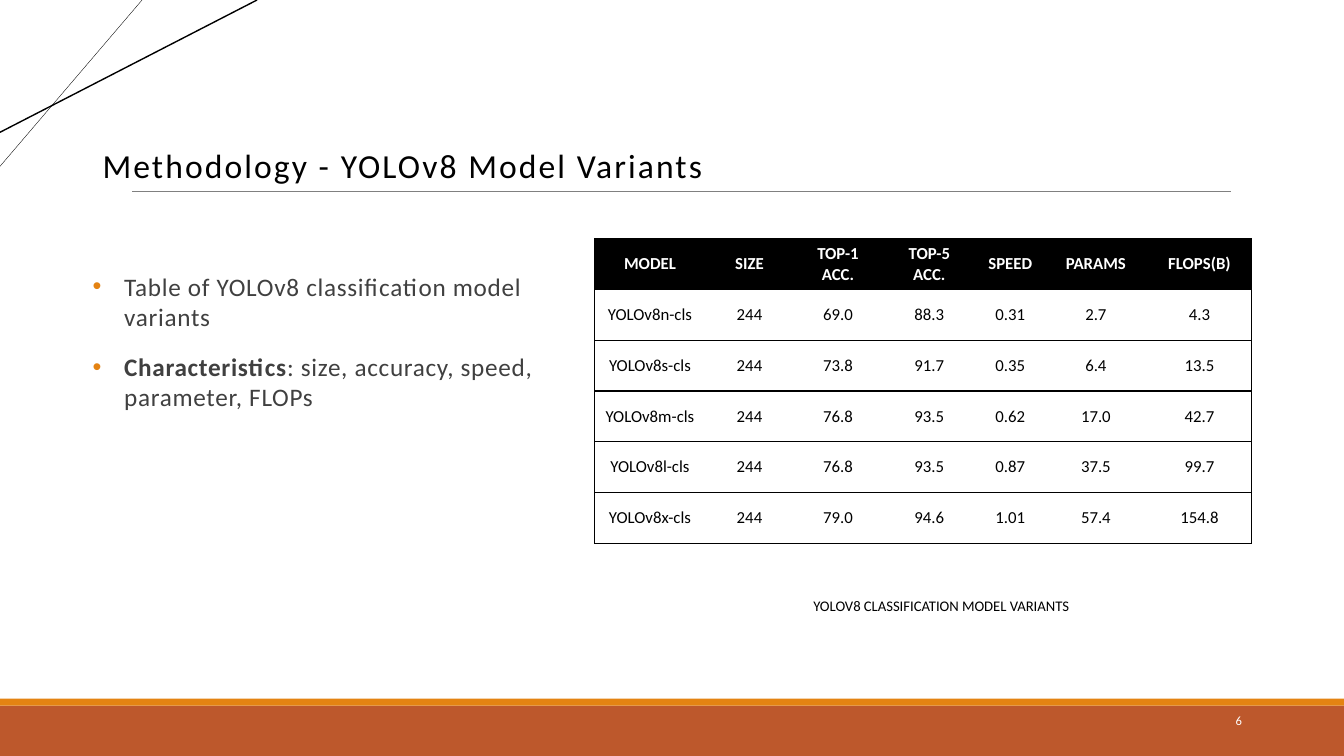
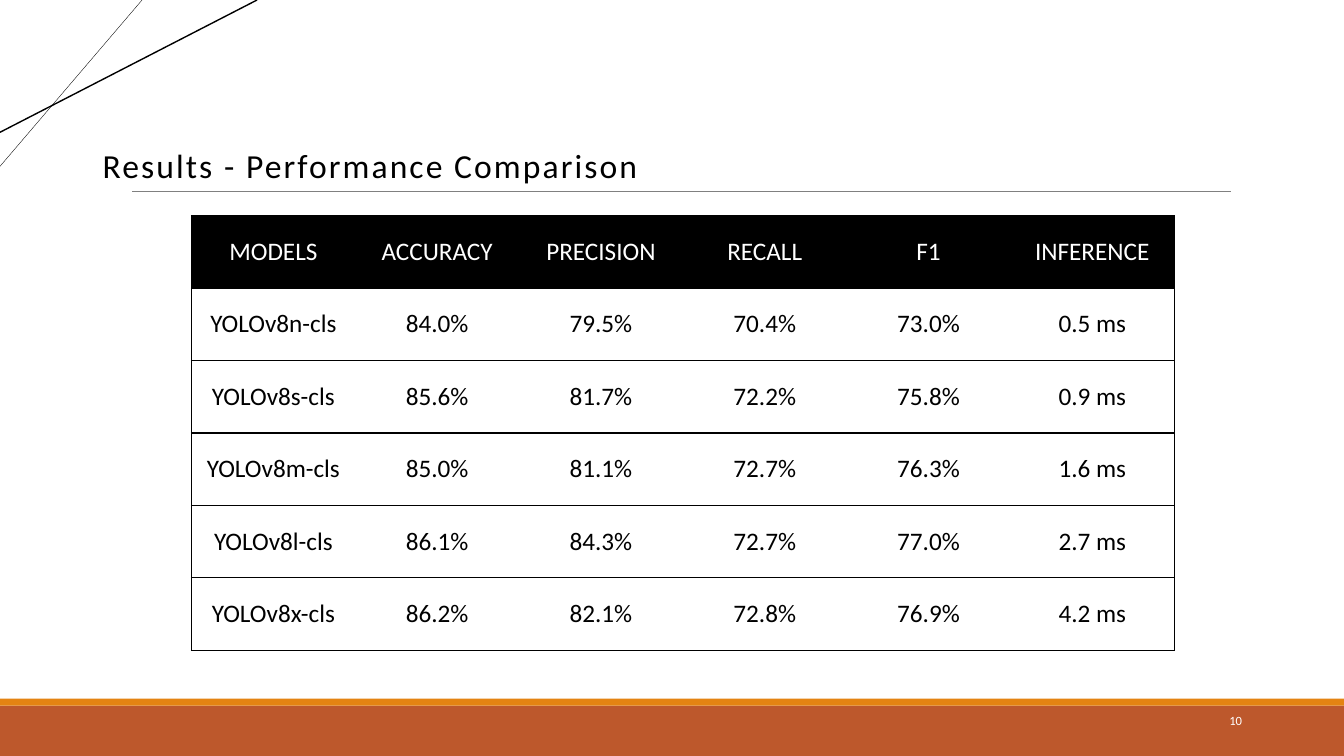
from lxml.etree import SubElement
from pptx import Presentation
from pptx.dml.color import RGBColor
from pptx.enum.shapes import MSO_CONNECTOR, MSO_SHAPE
from pptx.enum.text import MSO_ANCHOR, MSO_AUTO_SIZE, PP_ALIGN
from pptx.oxml.ns import qn
from pptx.util import Pt

BLACK = RGBColor(0x00, 0x00, 0x00)
WHITE = RGBColor(0xFF, 0xFF, 0xFF)
GRAY = RGBColor(0x80, 0x80, 0x80)
BODY = RGBColor(0x40, 0x40, 0x40)
RUST = RGBColor(0xBD, 0x58, 0x2C)
AMBER = RGBColor(0xE4, 0x83, 0x12)
FONT = "Calibri"
W, H = 960, 540

BANDS = [(504, 36, RUST), (499, 5, AMBER)]  # top, height, colour
LINES = [  # x1, y1, x2, y2, width, colour
    (94.5, 137, 879, 137, 0.5, GRAY),
    (101.5, 0, 0, 118.8, 0.25, BLACK),
    (183.6, 0, 0, 94.5, 1, BLACK),
]
MODELS = [f"YOLOv8{size}-cls" for size in "nsmlx"]

SLIDES = [
    {
        "title": "Methodology - YOLOv8 Model Variants",
        "number": "6",
        "left": 424.8, "top": 170.6, "row_height": 36.25,
        "widths": [79, 63.2, 63.2, 67.4, 48.3, 74, 74],
        "size": 12, "bold_header": True,
        "header": ["MODEL", "SIZE", "TOP-1 ACC.", "TOP-5 ACC.", "SPEED",
                   "PARAMS", "FLOPS(B)"],
        "values": [
            ["244", "69.0", "88.3", "0.31", "2.7", "4.3"],
            ["244", "73.8", "91.7", "0.35", "6.4", "13.5"],
            ["244", "76.8", "93.5", "0.62", "17.0", "42.7"],
            ["244", "76.8", "93.5", "0.87", "37.5", "99.7"],
            ["244", "79.0", "94.6", "1.01", "57.4", "154.8"],
        ],
    },
    {
        "title": "Results - Performance Comparison",
        "number": "10",
        "left": 136.8, "top": 154.1, "row_height": 51.75,
        "widths": [117] * 6,
        "size": 18, "bold_header": False,
        "header": ["MODELS", "ACCURACY", "PRECISION", "RECALL", "F1",
                   "INFERENCE"],
        "values": [
            ["84.0%", "79.5%", "70.4%", "73.0%", "0.5 ms"],
            ["85.6%", "81.7%", "72.2%", "75.8%", "0.9 ms"],
            ["85.0%", "81.1%", "72.7%", "76.3%", "1.6 ms"],
            ["86.1%", "84.3%", "72.7%", "77.0%", "2.7 ms"],
            ["86.2%", "82.1%", "72.8%", "76.9%", "4.2 ms"],
        ],
    },
]


def style(p, size, color, align=PP_ALIGN.LEFT, spacing=0):
    """Format a paragraph's runs; spacing is the letter spacing in points."""
    p.alignment = align
    for r in p.runs:
        r.font.name = FONT
        r.font.size = Pt(size)
        r.font.color.rgb = color
        if spacing:
            r.font._element.set("spc", str(int(spacing * 100)))


def add_text(s, box, text, anchor=MSO_ANCHOR.TOP):
    tf = s.shapes.add_textbox(*(Pt(v) for v in box)).text_frame
    tf.word_wrap = True
    tf.vertical_anchor = anchor
    tf.text = text
    return tf


prs = Presentation()
prs.slide_width, prs.slide_height = Pt(W), Pt(H)

for data in SLIDES:
    s = prs.slides.add_slide(prs.slide_layouts[6])

    for top, height, color in BANDS:
        sp = s.shapes.add_shape(MSO_SHAPE.RECTANGLE, 0, Pt(top), Pt(W), Pt(height))
        sp.shadow.inherit = False
        sp.fill.solid()
        sp.fill.fore_color.rgb = color
        sp.line.fill.background()

    for *ends, width, color in LINES:
        line = s.shapes.add_connector(MSO_CONNECTOR.STRAIGHT, *(Pt(v) for v in ends))
        line.line.width = Pt(width)
        line.line.color.rgb = color
        SubElement(line._element.spPr, qn("a:effectLst"))

    tf = add_text(s, (66.2, 75.6, 843, 60.5), data["title"], MSO_ANCHOR.BOTTOM)
    tf.paragraphs[0].line_spacing = 0.85
    style(tf.paragraphs[0], 24, BLACK, spacing=1.5)

    tf = add_text(s, (816.5, 500.4, 77.8, 28.8), data["number"], MSO_ANCHOR.MIDDLE)
    style(tf.paragraphs[0], 9, WHITE, PP_ALIGN.RIGHT)

    rows = [data["header"]]
    rows += [[model, *values] for model, values in zip(MODELS, data["values"])]
    widths = data["widths"]
    table = s.shapes.add_table(
        len(rows), len(widths), Pt(data["left"]), Pt(data["top"]),
        Pt(sum(widths)), Pt(data["row_height"] * len(rows))).table
    for column, width in zip(table.columns, widths):
        column.width = Pt(width)

    for i, row in enumerate(rows):
        table.rows[i].height = Pt(data["row_height"])
        for j, text in enumerate(row):
            cell = table.cell(i, j)
            cell.text = text
            cell.vertical_anchor = MSO_ANCHOR.MIDDLE
            cell.margin_top = cell.margin_bottom = Pt(3)
            p = cell.text_frame.paragraphs[0]
            style(p, data["size"], BLACK if i else WHITE, PP_ALIGN.CENTER)
            p.runs[0].font.bold = i == 0 and data["bold_header"]

            # Horizontal rules everywhere, vertical rules on the outside only
            borders = {"L": j == 0, "R": j == len(row) - 1, "T": True, "B": True}
            tcPr = cell._tc.get_or_add_tcPr()
            for side, shown in borders.items():
                ln = SubElement(tcPr, qn(f"a:ln{side}"), w=str(Pt(1)))
                if shown:
                    fill = SubElement(ln, qn("a:solidFill"))
                    SubElement(fill, qn("a:srgbClr"), val=str(BLACK))
                else:
                    SubElement(ln, qn("a:noFill"))
            cell.fill.solid()
            cell.fill.fore_color.rgb = WHITE if i else BLACK

# Bullets and table caption of the methodology slide
s = prs.slides[0]
tf = add_text(s, (66.2, 193.7, 334, 283),
              "Table of YOLOv8 classification model variants\nCharacteristics")
tf.margin_left = tf.margin_right = tf.margin_top = 0
p = tf.paragraphs[1]
p.runs[0].font.bold = True
p.add_run().text = ": size, accuracy, speed, parameter, FLOPs"
for p in tf.paragraphs:
    style(p, 18, BODY, spacing=0.5)
    p.space_before, p.space_after = Pt(12), Pt(2)
    pPr = p._p.get_or_add_pPr()
    pPr.set("marL", str(Pt(22.5)))
    pPr.set("indent", str(Pt(-22.5)))
    bullet_color = SubElement(pPr, qn("a:buClr"))
    SubElement(bullet_color, qn("a:srgbClr"), val=str(AMBER))
    SubElement(pPr, qn("a:buFont"), typeface="Arial")
    SubElement(pPr, qn("a:buChar"), char="•")

tf = add_text(s, (530.6, 422.6, 283.7, 20), "YOLOV8 CLASSIFICATION MODEL VARIANTS")
tf.auto_size = MSO_AUTO_SIZE.SHAPE_TO_FIT_TEXT
style(tf.paragraphs[0], 10.5, BLACK, PP_ALIGN.CENTER)

prs.save("out.pptx")
